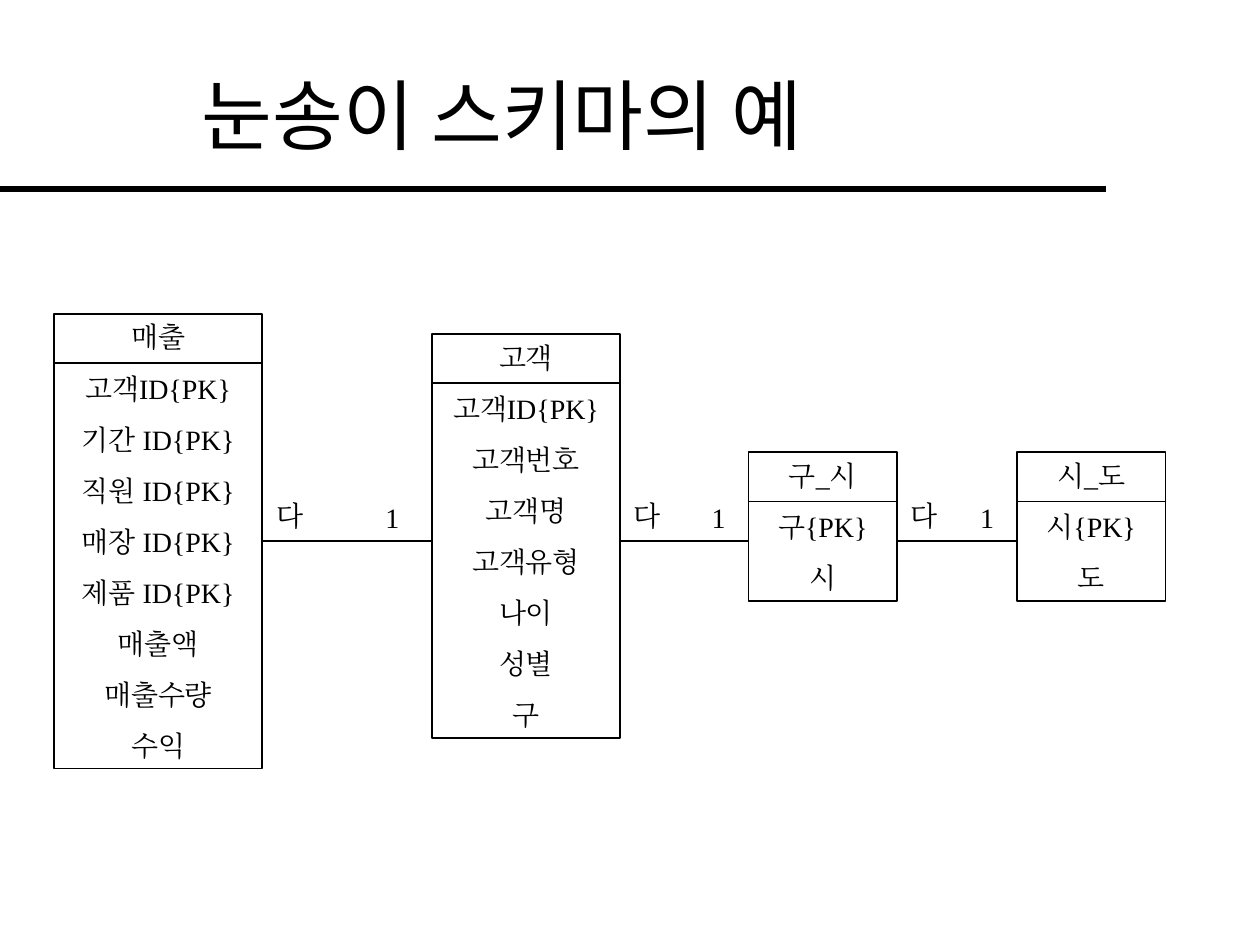
from dataclasses import dataclass

from pptx import Presentation
from pptx.dml.color import RGBColor
from pptx.enum.shapes import MSO_CONNECTOR, MSO_SHAPE
from pptx.enum.text import MSO_ANCHOR, PP_ALIGN
from pptx.oxml.ns import qn
from pptx.util import Inches, Pt


@dataclass(frozen=True)
class Theme:
    ink: RGBColor = RGBColor(0, 0, 0)
    title_font: str = "Noto Sans CJK KR"
    body_font: str = "Times New Roman"
    title_size: int = 44
    body_size: int = 16
    row_gap: int = 10
    rule_width: int = 4
    line_width: int = 1


THEME = Theme()

# Entity boxes: left, top, width, rows (the first row is the heading)
TABLES = [
    (0.43, 2.49, 1.65, ["매출", "고객ID{PK}", "기간 ID{PK}", "직원 ID{PK}",
                        "매장 ID{PK}", "제품 ID{PK}", "매출액", "매출수량", "수익"]),
    (3.43, 2.65, 1.49, ["고객", "고객ID{PK}", "고객번호", "고객명",
                        "고객유형", "나이", "성별", "구"]),
    (5.94, 3.59, 1.18, ["구_시", "구{PK}", "시"]),
    (8.07, 3.59, 1.18, ["시_도", "시{PK}", "도"]),
]
ROW_PITCH = 0.41
HEADING_HEIGHT = 0.39

# Left edges of the "many" and "one" labels on each relation
CARDINALITIES = [(2.1, 2.96), (4.93, 5.55), (7.13, 7.68)]


def write_text(frame, lines, size=THEME.body_size, font=THEME.body_font,
               align=PP_ALIGN.LEFT, anchor=MSO_ANCHOR.TOP, gap=0, wrap=True):
    frame.word_wrap = wrap
    frame.vertical_anchor = anchor
    frame.margin_left = frame.margin_right = Inches(0.1)
    frame.margin_top = frame.margin_bottom = Inches(0.05)
    for index, line in enumerate(lines):
        para = frame.add_paragraph() if index else frame.paragraphs[0]
        para.alignment = align
        para.space_before = Pt(gap if index else 0)
        span = para.add_run()
        span.text = line
        span.font.size = Pt(size)
        span.font.name = font
        span.font.color.rgb = THEME.ink
        # Hangul takes its face from the East Asian font
        east_asian = span.font._element.makeelement(qn("a:ea"), {"typeface": font})
        span.font._element.find(qn("a:latin")).addnext(east_asian)


def add_line(page, start, end, width=THEME.line_width):
    line = page.shapes.add_connector(MSO_CONNECTOR.STRAIGHT, *start, *end)
    line.line.color.rgb = THEME.ink
    line.line.width = Pt(width)
    properties = line._element.spPr
    properties.append(properties.makeelement(qn("a:effectLst"), {}))
    return line


def add_title(page, text):
    title = page.shapes.title
    title.left, title.top = Inches(1.5), Inches(0.5)
    title.width, title.height = Inches(6.45), Inches(0.81)
    write_text(title.text_frame, [text], size=THEME.title_size,
               font=THEME.title_font, anchor=MSO_ANCHOR.MIDDLE)


def add_entity(page, left, top, width, rows):
    height = round(ROW_PITCH * len(rows) - 0.05, 2) if len(rows) < 4 else \
        round(0.4 * len(rows) + 0.01, 2)
    box = page.shapes.add_shape(MSO_SHAPE.RECTANGLE, Inches(left), Inches(top),
                                Inches(width), Inches(height))
    box.shadow.inherit = False
    box.fill.background()
    box.line.color.rgb = THEME.ink
    box.line.width = Pt(THEME.line_width)
    write_text(box.text_frame, rows, align=PP_ALIGN.CENTER, gap=THEME.row_gap)
    divider = box.top + Inches(HEADING_HEIGHT)
    add_line(page, (box.left, divider), (box.left + box.width, divider))
    return box


def add_label(page, text, left, top, width):
    box = page.shapes.add_textbox(Inches(left), Inches(top), Inches(width), Inches(0.37))
    write_text(box.text_frame, [text], wrap=False)


def main():
    deck = Presentation()
    deck.slide_width, deck.slide_height = Inches(10), Inches(7.5)
    page = deck.slides.add_slide(deck.slide_layouts[5])

    # Title and rule
    add_line(page, (0, Inches(1.5)), (Inches(8.78), Inches(1.5)), THEME.rule_width)
    add_title(page, "눈송이 스키마의 예")

    # Entities
    boxes = [add_entity(page, *table) for table in TABLES]

    # Relations, level with the middle of the sales box
    sales = boxes[0]
    level = sales.top + sales.height // 2
    relations = [add_line(page, (one.left + one.width, level), (other.left, level))
                 for one, other in zip(boxes, boxes[1:])]
    relations[0].begin_connect(sales, 3)

    # Cardinalities
    for many, one in CARDINALITIES:
        add_label(page, "다", many, 3.91, 0.4)
        add_label(page, "1", one, 3.92, 0.31)

    deck.save("out.pptx")


if __name__ == "__main__":
    main()
